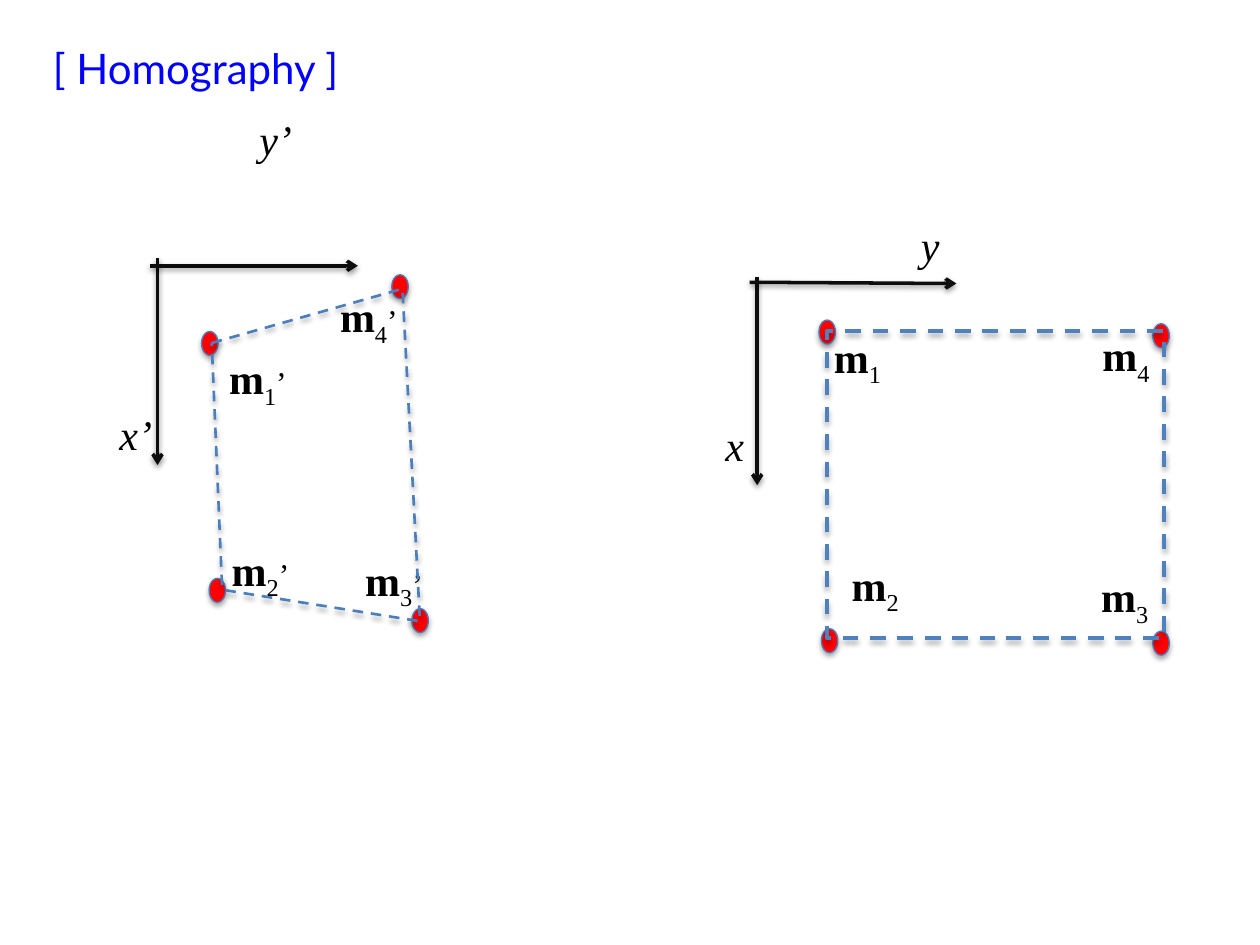
import pptx
import pptx.util
import pptx.dml.color
import pptx.enum.dml
import pptx.enum.shapes
import pptx.enum.text
import pptx.oxml
import pptx.oxml.ns

Pt = pptx.util.Pt
COLORS = {"title": "0000FF", "text": "000000", "axis": "0D0D0D", "dot": "FF0000",
          "outline": "4B7EBC", "square": "4F81BD", "shadow": "000000"}
SERIF = "Times New Roman"
DOT_W, DOT_H = 9.4, 13.7
LABEL_H = 36.3

AXES = [
    (90, 147.6, 90, 265.7),
    (432.7, 158.4, 432.7, 277.2),
    (85.7, 151.9, 204.5, 151.9),
    (428.4, 161.3, 546.5, 162),
]
AXIS_NAMES = [
    ("x’", 61.2, 229.7, 38.2),
    ("y’", 141.1, 61.2, 38.9),
    ("x", 407.5, 236.2, 33.1),
    ("y", 519.1, 121.7, 33.1),
]
WARPED_CORNERS = [
    ("1", 115.2, 189.4, 123.8, 198),
    ("2", 119.5, 330.5, 125.3, 307.4),
    ("3", 235.4, 347.8, 201.6, 313.2),
    ("4", 223.9, 157, 187.2, 162.7),
]
SQUARE_CORNERS = [
    ("1", 468, 182.9, 469.4, 185.8),
    ("2", 469.4, 359.3, 479.5, 316.1),
    ("3", 658.8, 360.7, 622.1, 322.6),
    ("4", 658.8, 185, 622.8, 185),
]
WARPED_OUTLINE = [(121, 195.8), (230.4, 164.9), (240.5, 355), (126.7, 337)]


def rgb(name):
    return pptx.dml.color.RGBColor.from_string(COLORS[name])


def add_shadow(sp, alpha, dist):
    sp._element.spPr.append(pptx.oxml.parse_xml(
        f'<a:effectLst {pptx.oxml.ns.nsdecls("a")}>'
        f'<a:outerShdw blurRad="{Pt(3.1)}" dist="{Pt(dist)}" dir="5400000" rotWithShape="0">'
        f'<a:srgbClr val="{COLORS["shadow"]}"><a:alpha val="{alpha * 1000}"/></a:srgbClr>'
        '</a:outerShdw></a:effectLst>'))


def format_line(sp, color, width, dashed=False):
    sp.line.color.rgb = rgb(color)
    sp.line.width = Pt(width)
    if dashed:
        sp.line.dash_style = pptx.enum.dml.MSO_LINE.DASH


def format_font(r, name, size, color):
    r.font.name = name
    r.font.size = Pt(size)
    r.font.color.rgb = rgb(color)


def add_title(s, text):
    sp = s.shapes.title
    sp.left, sp.top, sp.width, sp.height = Pt(23), Pt(20.9), Pt(647.3), Pt(LABEL_H)
    tf = sp.text_frame
    tf.text = text
    tf.vertical_anchor = pptx.enum.text.MSO_ANCHOR.TOP
    tf.auto_size = pptx.enum.text.MSO_AUTO_SIZE.SHAPE_TO_FIT_TEXT
    p = tf.paragraphs[0]
    p.alignment = pptx.enum.text.PP_ALIGN.LEFT
    format_font(p.runs[0], "Lato", 24, "title")


def add_axis(s, x1, y1, x2, y2):
    sp = s.shapes.add_connector(pptx.enum.shapes.MSO_CONNECTOR.STRAIGHT,
                                Pt(x1), Pt(y1), Pt(x2), Pt(y2))
    format_line(sp, "axis", 2)
    sp.line._get_or_add_ln().append(pptx.oxml.parse_xml(
        f'<a:tailEnd {pptx.oxml.ns.nsdecls("a")} type="arrow"/>'))
    add_shadow(sp, 38, 1.6)


def add_label(s, text, left, top, width):
    sp = s.shapes.add_textbox(Pt(left), Pt(top), Pt(width), Pt(LABEL_H))
    tf = sp.text_frame
    tf.text = text
    tf.word_wrap = False
    tf.auto_size = pptx.enum.text.MSO_AUTO_SIZE.SHAPE_TO_FIT_TEXT
    p = tf.paragraphs[0]
    format_font(p.runs[0], SERIF, 24, "text")
    return p


def add_dot(s, left, top):
    sp = s.shapes.add_shape(pptx.enum.shapes.MSO_SHAPE.OVAL,
                            Pt(left), Pt(top), Pt(DOT_W), Pt(DOT_H))
    sp.fill.solid()
    sp.fill.fore_color.rgb = rgb("dot")
    format_line(sp, "outline", 0.75)
    add_shadow(sp, 35, 1.8)


def add_corner(s, index, dot_left, dot_top, left, top, prime=False):
    add_dot(s, dot_left, dot_top)
    p = add_label(s, "m", left, top, 49 if prime else 42.5)
    p.runs[0].font.bold = True
    r = p.add_run()
    r.text = index
    format_font(r, SERIF, 24, "text")
    r.font._element.set("baseline", "-25000")
    if prime:
        r = p.add_run()
        r.text = "’"
        format_font(r, SERIF, 18, "text")


def add_outline(s, points):
    builder = s.shapes.build_freeform(*points[0], scale=Pt(1))
    builder.add_line_segments(points[1:], close=True)
    sp = builder.convert_to_shape()
    sp.fill.background()
    format_line(sp, "outline", 1.5, dashed=True)
    add_shadow(sp, 35, 1.8)


def add_square(s, left, top, width, height):
    sp = s.shapes.add_shape(pptx.enum.shapes.MSO_SHAPE.RECTANGLE,
                            Pt(left), Pt(top), Pt(width), Pt(height))
    sp.fill.background()
    format_line(sp, "square", 2.25, dashed=True)
    add_shadow(sp, 35, 1.8)


def main():
    prs = pptx.Presentation()
    prs.slide_width, prs.slide_height = Pt(720), Pt(540)
    s = prs.slides.add_slide(prs.slide_layouts[5])
    add_title(s, "[ Homography ]")
    for axis in AXES:
        add_axis(s, *axis)
    for name in AXIS_NAMES:
        add_label(s, *name).runs[0].font.italic = True
    for corner in WARPED_CORNERS:
        add_corner(s, *corner, prime=True)
    for corner in SQUARE_CORNERS:
        add_corner(s, *corner)
    add_outline(s, WARPED_OUTLINE)
    add_square(s, 472.3, 189.4, 193, 175)
    prs.save("out.pptx")


if __name__ == "__main__":
    main()
